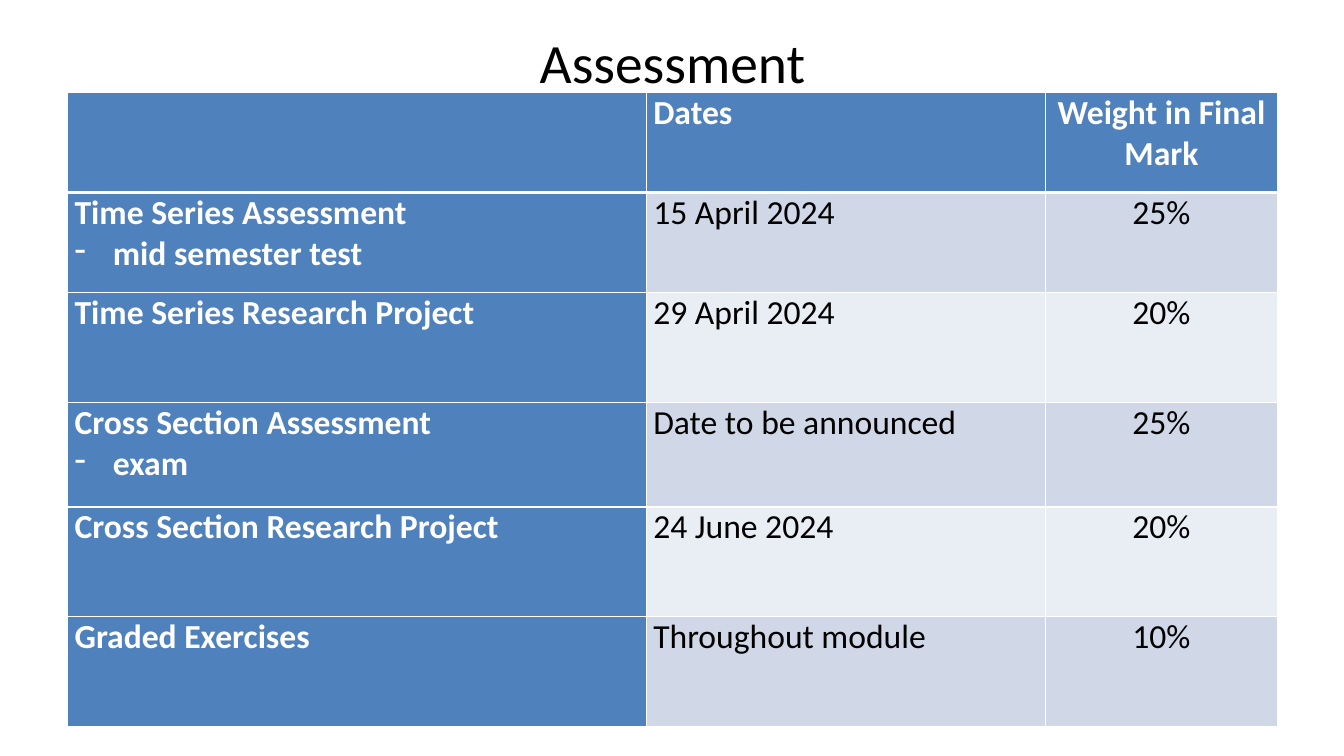
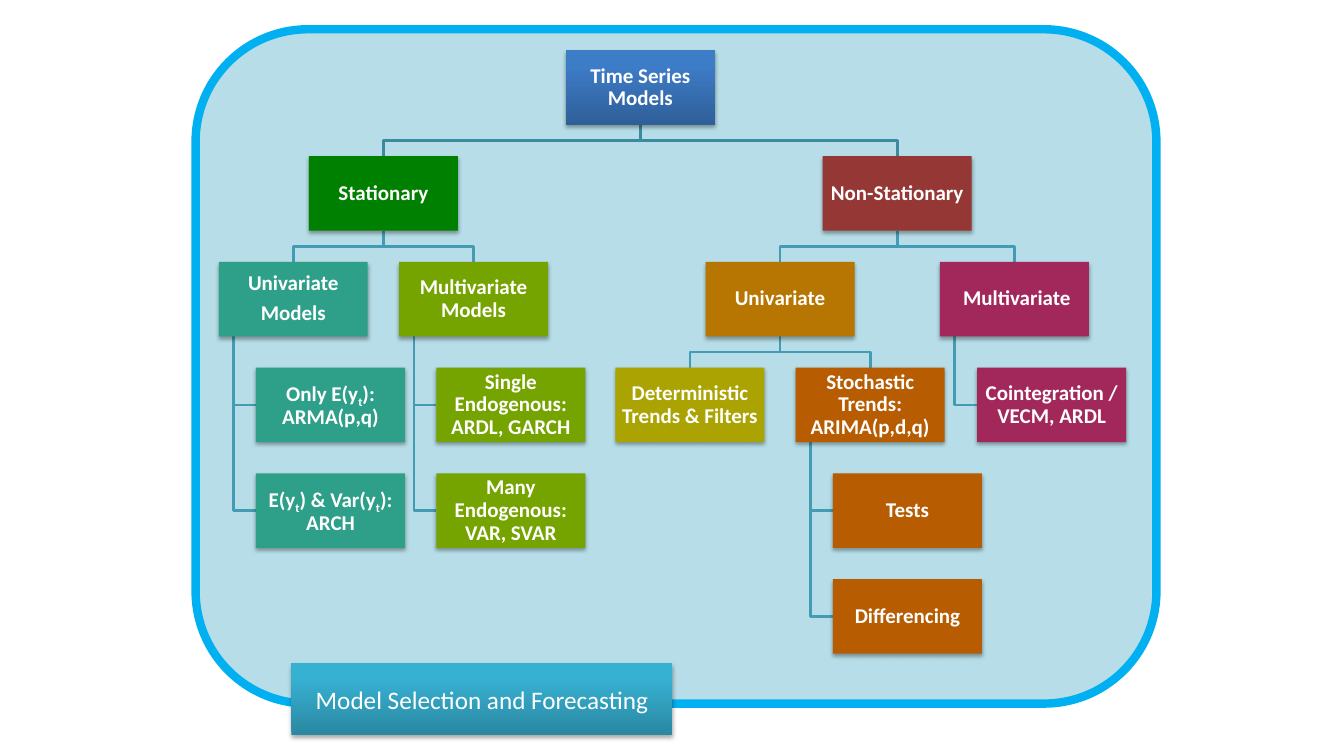
from dataclasses import dataclass, field

from lxml.etree import SubElement
from pptx import Presentation
from pptx.dml.color import RGBColor
from pptx.enum.shapes import MSO_SHAPE
from pptx.enum.text import MSO_ANCHOR, PP_ALIGN
from pptx.oxml.ns import qn
from pptx.util import Inches, Pt

WHITE = RGBColor(0xFF, 0xFF, 0xFF)
BLACK = RGBColor(0x00, 0x00, 0x00)
TABLE_BLUE = RGBColor(0x4F, 0x81, 0xBD)
BANDS = (RGBColor(0xD0, 0xD8, 0xE8), RGBColor(0xE9, 0xED, 0xF4))
PANEL_FILL = RGBColor(0xB7, 0xDE, 0xE8)
PANEL_LINE = RGBColor(0x00, 0xB0, 0xF0)
ROOT_LINK = RGBColor(0x3C, 0x8A, 0x9F)
BRANCH_LINK = RGBColor(0x44, 0x9C, 0xB4)
ROOT_GRADIENT = (RGBColor(0x2F, 0x5F, 0x99), RGBColor(0x3D, 0x7C, 0xC7))
BANNER_GRADIENT = (RGBColor(0x2A, 0x88, 0xA2), RGBColor(0x37, 0xB1, 0xD2))
GREEN = RGBColor(0x00, 0x80, 0x00)
TEAL = RGBColor(0x2E, 0xA0, 0x8A)
LIME = RGBColor(0x75, 0xA4, 0x00)
RED = RGBColor(0x95, 0x37, 0x35)
AMBER = RGBColor(0xB7, 0x76, 0x01)
OLIVE = RGBColor(0xAB, 0xA3, 0x01)
ORANGE = RGBColor(0xB7, 0x5C, 0x01)
PLUM = RGBColor(0xA2, 0x28, 0x5C)

FONT = "Calibri"

COLUMN_WIDTHS = (5.74, 3.96, 2.3)
ROW_HEIGHTS = (0.99, 0.99, 1.09, 1.04, 1.09, 1.09)
ASSESSMENTS = (
    ("", "Dates", "Weight in Final Mark"),
    ("Time Series Assessment\nmid semester test", "15 April 2024", "25%"),
    ("Time Series Research Project", "29 April 2024", "20%"),
    ("Cross Section Assessment\nexam", "Date to be announced", "25%"),
    ("Cross Section Research Project", "24 June 2024", "20%"),
    ("Graded Exercises", "Throughout module", "10%"),
)


@dataclass
class Model:
    """A tree box; one with a column lets its children hang below it."""
    text: str
    fill: object
    children: list = field(default_factory=list)
    column: float = None


MODELS = Model("Time Series Models", ROOT_GRADIENT, [
    Model("Stationary", GREEN, [
        Model("Univariate\nModels", TEAL, [
            Model("Only E(y|t|): ARMA(p,q)", TEAL),
            Model("E(y|t|) & Var(y|t|): ARCH", TEAL),
        ], column=0),
        Model("Multivariate Models", LIME, [
            Model("Single Endogenous: ARDL, GARCH", LIME),
            Model("Many Endogenous: VAR, SVAR", LIME),
        ], column=1),
    ]),
    Model("Non-Stationary", RED, [
        Model("Univariate", AMBER, [
            Model("Deterministic Trends & Filters", OLIVE, column=2.2),
            Model("Stochastic Trends: ARIMA(p,d,q)", ORANGE, [
                Model("Tests", ORANGE),
                Model("Differencing", ORANGE),
            ], column=3.2),
        ]),
        Model(" Multivariate", PLUM, [
            Model("Cointegration / VECM, ARDL", PLUM),
        ], column=4),
    ]),
])


def write_text(frame, text, size, color, bold=False, align=PP_ALIGN.CENTER):
    """Write one paragraph a line; every second part between bars is a subscript."""
    frame.word_wrap = True
    for index, line in enumerate(text.split("\n")):
        para = frame.add_paragraph() if index else frame.paragraphs[0]
        para.alignment = align
        para.font.name = FONT
        para.font.size = Pt(size)
        para.font.bold = bold
        para.font.color.rgb = color
        for part, words in enumerate(line.split("|")):
            span = para.add_run()
            span.text = words
            if part % 2:
                span._r.get_or_add_rPr().set("baseline", "-25000")


def set_margins(frame, side, end):
    frame.margin_left = frame.margin_right = Inches(side)
    frame.margin_top = frame.margin_bottom = Inches(end)


def add_title(page, text, left, top, width, height):
    box = page.shapes.add_textbox(*map(Inches, (left, top, width, height)))
    set_margins(box.text_frame, 0, 0)
    box.text_frame.vertical_anchor = MSO_ANCHOR.MIDDLE
    write_text(box.text_frame, text, 39.6, BLACK)


def set_borders(cell, top=1, bottom=1):
    properties = cell._tc.get_or_add_tcPr()
    for index, (side, points) in enumerate(
            (("L", 1), ("R", 1), ("T", top), ("B", bottom))):
        line = SubElement(properties, qn(f"a:ln{side}"), w=str(Pt(points)))
        fill = SubElement(line, qn("a:solidFill"))
        SubElement(fill, qn("a:srgbClr"), val=str(WHITE))
        properties.insert(index, line)


def add_dash(para):
    properties = para._p.get_or_add_pPr()
    indent = Inches(0.38)
    properties.set("marL", str(indent))
    properties.set("indent", str(-indent))
    properties.insert(0, SubElement(properties, qn("a:buChar"), char="-"))


def add_assessment_table(page, left, top):
    frame = page.shapes.add_table(
        len(ROW_HEIGHTS), len(COLUMN_WIDTHS), Inches(left), Inches(top),
        Inches(sum(COLUMN_WIDTHS)), Inches(sum(ROW_HEIGHTS)))
    table = frame.table
    for column, width in zip(table.columns, COLUMN_WIDTHS):
        column.width = Inches(width)
    for row, height in zip(table.rows, ROW_HEIGHTS):
        row.height = Inches(height)
    for row, texts in enumerate(ASSESSMENTS):
        for column, text in enumerate(texts):
            cell = table.cell(row, column)
            heading = row == 0 or column == 0
            cell.fill.solid()
            cell.fill.fore_color.rgb = TABLE_BLUE if heading else BANDS[(row - 1) % 2]
            set_borders(cell, 3 if row == 1 else 1, 3 if row == 0 else 1)
            set_margins(cell, 0.07, 0)
            if text:
                write_text(cell.text_frame, text, 24, WHITE if heading else BLACK,
                           heading, PP_ALIGN.CENTER if column == 2 else PP_ALIGN.LEFT)
            for para in cell.text_frame.paragraphs[1:]:
                add_dash(para)


def add_shadow(shape):
    shape.shadow.inherit = False
    effects = shape._element.spPr.find(qn("a:effectLst"))
    shadow = SubElement(effects, qn("a:outerShdw"), blurRad=str(Pt(3.1)),
                        dist=str(Pt(1.8)), dir="5400000", rotWithShape="0")
    color = SubElement(shadow, qn("a:srgbClr"), val=str(BLACK))
    SubElement(color, qn("a:alpha"), val="35000")


def add_box(page, left, top, width, height, fill):
    """Add a shadowed rectangle; a pair of colours makes an upward gradient."""
    box = page.shapes.add_shape(
        MSO_SHAPE.RECTANGLE, *map(Inches, (left, top, width, height)))
    if isinstance(fill, RGBColor):
        box.fill.solid()
        box.fill.fore_color.rgb = fill
    else:
        box.fill.gradient()
        box.fill.gradient_angle = 90
        for stop, color, position in zip(box.fill.gradient_stops, fill, (0, 0.8)):
            stop.color.rgb = color
            stop.position = position
    box.line.fill.background()
    add_shadow(box)
    box.text_frame.vertical_anchor = MSO_ANCHOR.MIDDLE
    return box


def add_link(page, points, color):
    start, *corners = [(Inches(x), Inches(y)) for x, y in points]
    builder = page.shapes.build_freeform(*start, scale=1.0)
    builder.add_line_segments(corners, close=False)
    link = builder.convert_to_shape()
    link.fill.background()
    link.line.color.rgb = color
    link.line.width = Pt(2)
    link.shadow.inherit = False


def add_model_tree(page, left, top, width):
    """Draw the tree with boxes sized so that five columns fill the width."""
    box_width = width / (4 * 1.21 + 1.25)
    box_height = box_width / 2
    gap = 0.21 * box_width
    row_step = box_height + gap
    placed = []

    def place(model, row, hanging_left=None):
        """Link a model to its children and return its left edge."""
        y = top + row * row_step
        bottom = y + box_height
        color = BRANCH_LINK if row else ROOT_LINK
        if model.column is None and hanging_left is None:
            edges = [place(child, row + 1) for child in model.children]
            x = (edges[0] + edges[-1]) / 2
            center = x + box_width / 2
            for edge in edges:
                child_center = edge + box_width / 2
                add_link(page, [(center, bottom), (center, bottom + gap / 2),
                                (child_center, bottom + gap / 2),
                                (child_center, bottom + gap)], color)
        else:
            x = hanging_left
            if x is None:
                x = left + model.column * (box_width + gap)
            trunk = x + box_width / 10
            child_left = x + box_width / 4
            for index, child in enumerate(model.children, 1):
                place(child, row + index, child_left)
                middle = y + index * row_step + box_height / 2
                add_link(page, [(trunk, bottom), (trunk, middle),
                                (child_left, middle)], color)
        placed.append((model, x, y))
        return x

    place(MODELS, 0)
    for model, x, y in placed:
        box = add_box(page, x, y, box_width, box_height, model.fill)
        set_margins(box.text_frame, 0.01, 0.01)
        write_text(box.text_frame, model.text, 15, WHITE, True)
        for index, para in enumerate(box.text_frame.paragraphs):
            para.line_spacing = 0.9
            if index:
                para.space_before = Pt(5.25)


def add_panel(page, left, top, width, height):
    panel = page.shapes.add_shape(
        MSO_SHAPE.ROUNDED_RECTANGLE, *map(Inches, (left, top, width, height)))
    panel.fill.solid()
    panel.fill.fore_color.rgb = PANEL_FILL
    panel.line.color.rgb = PANEL_LINE
    panel.line.width = Pt(6)
    panel.shadow.inherit = False


def build_assessment_page(page):
    add_title(page, "Assessment", 0.67, 0.27, 12, 0.67)
    add_assessment_table(page, 0.67, 0.92)


def build_models_page(page):
    add_panel(page, 1.94, 0.29, 9.53, 6.69)
    add_model_tree(page, 2.17, 0.5, 9)
    banner = add_box(page, 2.89, 6.58, 3.78, 0.71, BANNER_GRADIENT)
    write_text(banner.text_frame, "Model Selection and Forecasting", 18, WHITE)


def main():
    deck = Presentation()
    deck.slide_width = Inches(13.33)
    deck.slide_height = Inches(7.5)
    for build in (build_assessment_page, build_models_page):
        build(deck.slides.add_slide(deck.slide_layouts[6]))
    deck.save("out.pptx")


if __name__ == "__main__":
    main()
